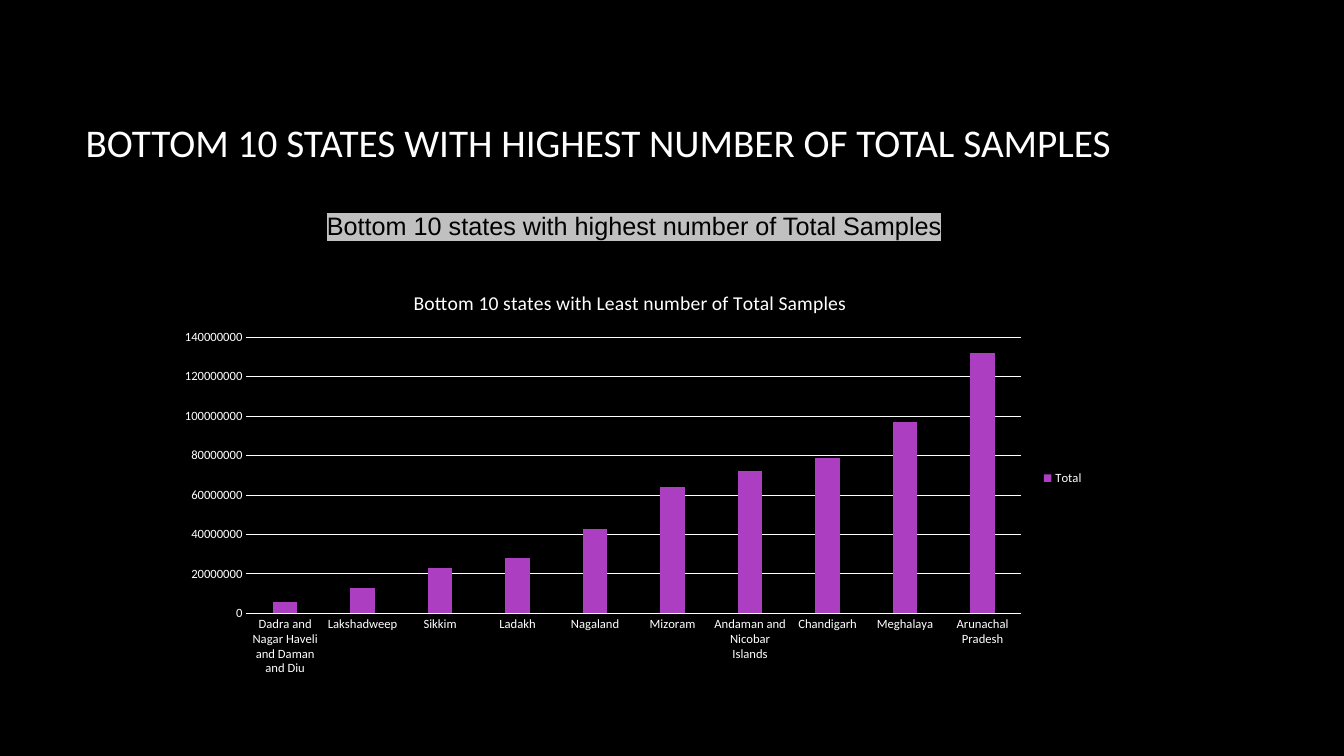
from lxml.etree import SubElement as Sub
from pptx import Presentation
from pptx.chart.data import CategoryChartData as Data
from pptx.dml.color import RGBColor as RGB
from pptx.enum.chart import XL_CHART_TYPE as Kind, XL_LEGEND_POSITION as Spot, XL_TICK_MARK as Tick
from pptx.enum.text import MSO_ANCHOR as Anchor, PP_ALIGN as Align
from pptx.oxml.ns import qn
from pptx.util import Inches, Pt

WHITE, BLACK, GREY, PURPLE = "FFFFFF", "000000", "C0C0C0", "AC3EC1"

STATES = {
    "Dadra and Nagar Haveli and Daman and Diu": 6,
    "Lakshadweep": 13,
    "Sikkim": 23,
    "Ladakh": 28,
    "Nagaland": 43,
    "Mizoram": 64,
    "Andaman and Nicobar Islands": 72,
    "Chandigarh": 79,
    "Meghalaya": 97,
    "Arunachal Pradesh": 132,
}
MILLION = 1_000_000


def paint(part, color):
    part.solid()
    part.fore_color.rgb = RGB.from_string(color)


def style(font, size, color=WHITE, face="Calibri"):
    font.size = Pt(size)
    font.name = face
    font.bold = False
    font.color.rgb = RGB.from_string(color)


def write(frame, text, size, color=WHITE, face="Calibri", align=Align.LEFT,
          anchor=Anchor.TOP, after=0, mark=None):
    frame.word_wrap = True
    frame.vertical_anchor = anchor
    para = frame.paragraphs[0]
    para.alignment = align
    para.space_before, para.space_after = Pt(0), Pt(after)
    props = para._p.get_or_add_pPr()
    props.set("marL", "0")
    props.set("indent", "0")
    Sub(props, qn("a:buNone"))
    run = para.add_run()
    run.text = text
    style(run.font, size, color, face)
    if mark:
        tint = Sub(run._r.rPr, qn("a:highlight"))
        Sub(tint, qn("a:srgbClr"), val=mark)
        run._r.rPr.find(qn("a:solidFill")).addnext(tint)


class Deck:
    def __init__(self, back):
        self.file = Presentation()
        self.file.slide_width = Inches(13.33)
        self.file.slide_height = Inches(7.5)
        self.slide = self.file.slides.add_slide(self.file.slide_layouts[1])
        paint(self.slide.background.fill, back)

    def holder(self, index, box, text, size, **look):
        shape = self.slide.placeholders[index]
        shape.left, shape.top, shape.width, shape.height = map(Inches, box)
        write(shape.text_frame, text, size, **look)

    def axis(self, axis):
        axis.major_tick_mark = axis.minor_tick_mark = Tick.NONE
        style(axis.tick_labels.font, 9)

    def line(self, part):
        paint(part.format.line.fill, WHITE)
        part.format.line.width = Pt(0.75)

    def columns(self, box, title, name, items):
        data = Data()
        data.categories = list(items)
        data.add_series(name, [count * MILLION for count in items.values()])
        chart = self.slide.shapes.add_chart(
            Kind.COLUMN_CLUSTERED, *map(Inches, box), data).chart
        style(chart.font, 10)
        chart.has_title = True
        write(chart.chart_title.text_frame, title, 14, align=Align.CENTER)
        chart.chart_title.include_in_layout = False
        chart.has_legend = True
        chart.legend.position = Spot.RIGHT
        chart.legend.include_in_layout = False
        style(chart.legend.font, 9)

        plot = chart.plots[0]
        plot.gap_width, plot.overlap = 219, -27
        plot.vary_by_categories = False
        paint(plot.series[0].format.fill, PURPLE)

        cats, vals = chart.category_axis, chart.value_axis
        self.axis(cats)
        self.axis(vals)
        self.line(cats)
        self.line(vals.major_gridlines)
        vals.format.line.fill.background()
        vals.minimum_scale, vals.maximum_scale = 0, 140 * MILLION
        vals.major_unit = 20 * MILLION


def main():
    deck = Deck(BLACK)
    deck.holder(0, (0.75, 0.71, 11.08, 0.98),
                "BOTTOM 10 STATES WITH HIGHEST NUMBER OF TOTAL SAMPLES", 28,
                anchor=Anchor.BOTTOM)
    deck.holder(1, (0.75, 2.04, 11.08, 4.12),
                "Bottom 10 states with highest number of Total Samples", 18,
                color=BLACK, face="Arial", align=Align.CENTER, after=10, mark=GREY)
    deck.columns((1.65, 2.7, 9.2, 4.09),
                 "Bottom 10 states with Least number of Total Samples",
                 "Total", STATES)
    deck.file.save("out.pptx")


if __name__ == "__main__":
    main()
